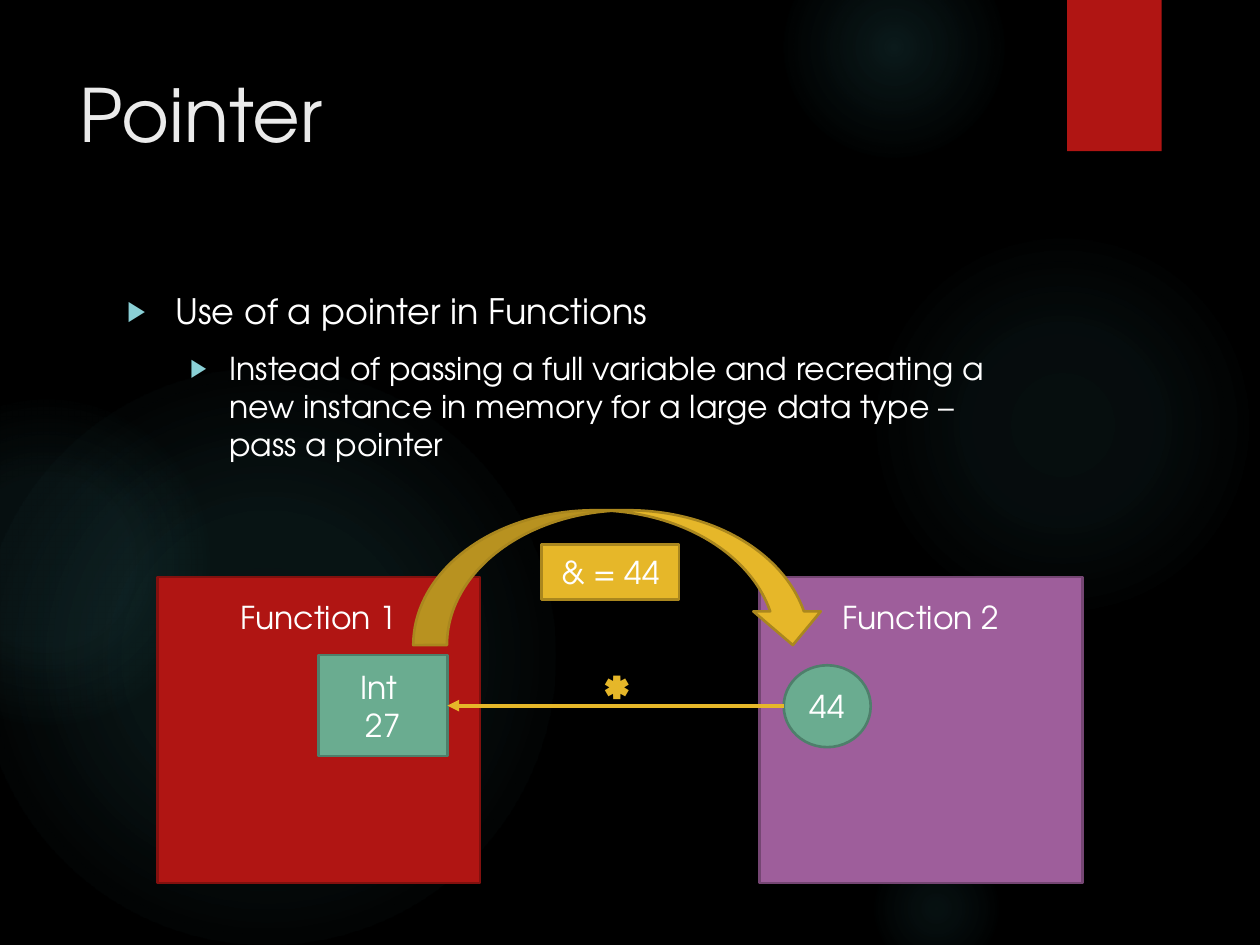
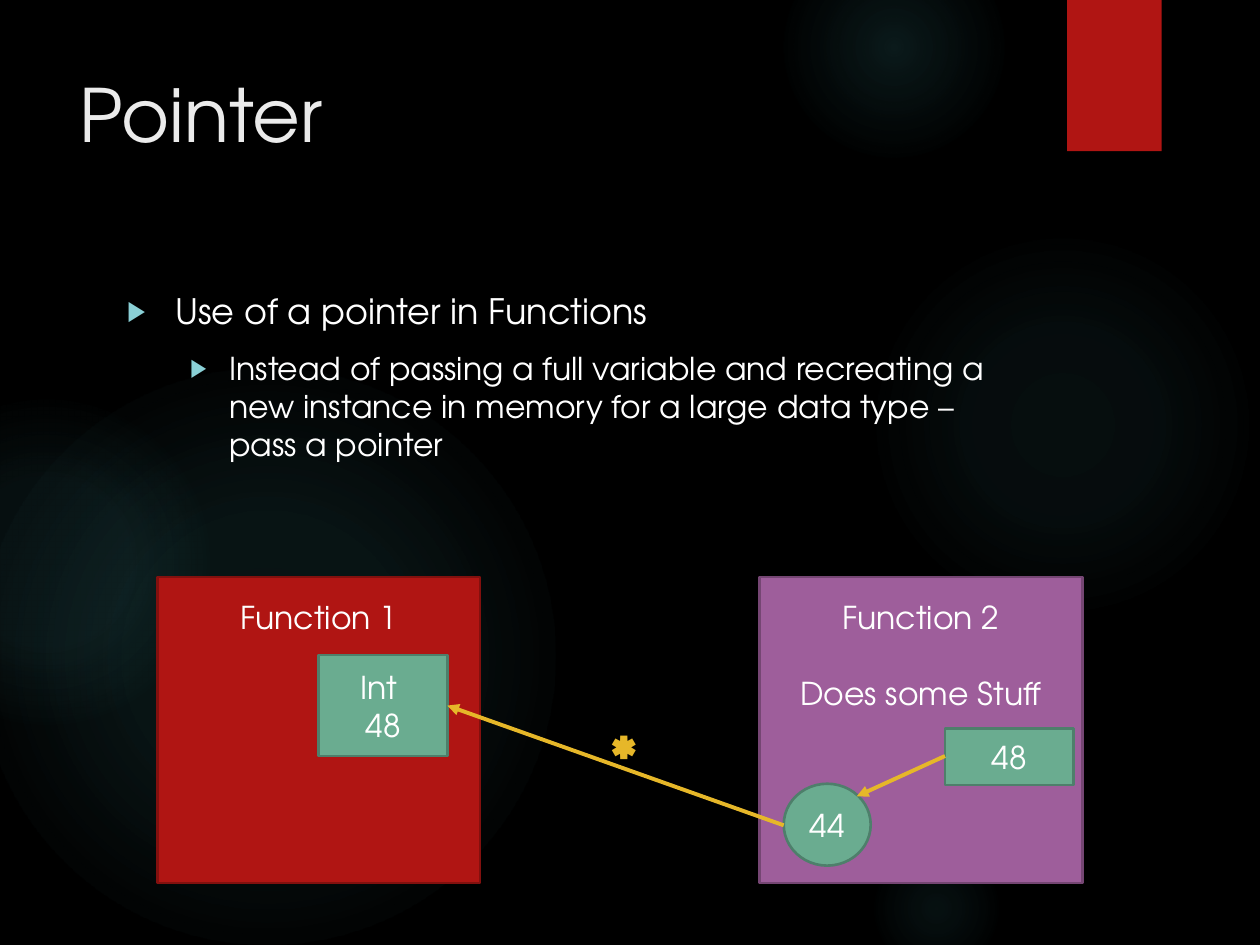
from dataclasses import dataclass

from pptx import Presentation
from pptx.dml.color import RGBColor
from pptx.enum.shapes import MSO_CONNECTOR, MSO_SHAPE
from pptx.enum.text import MSO_ANCHOR, MSO_AUTO_SIZE, PP_ALIGN
from pptx.oxml import parse_xml
from pptx.oxml.ns import nsdecls
from pptx.util import Inches, Pt

RECTANGLE = MSO_SHAPE.RECTANGLE
OVAL = MSO_SHAPE.OVAL
CURVED_ARROW = MSO_SHAPE.CURVED_DOWN_ARROW
STRAIGHT = MSO_CONNECTOR.STRAIGHT
LEFT, CENTER = PP_ALIGN.LEFT, PP_ALIGN.CENTER
TOP, MIDDLE = MSO_ANCHOR.TOP, MSO_ANCHOR.MIDDLE

FONT = "TeX Gyre Adventor"
TEXT_SIZE = 18
COLORS = {
    "background": "000000",
    "glow": "50B9C1",
    "title": "EBEBEB",
    "text": "FFFFFF",
    "bullet": "8AD0D6",
    "red": "B01513",
    "red_edge": "82100E",
    "purple": "9E5E9B",
    "purple_edge": "754673",
    "green": "6AAC90",
    "green_edge": "4E7F6B",
    "gold": "E6B729",
    "gold_edge": "AA871E",
}


@dataclass
class Glow:
    left: float
    top: float
    size: float
    stops: tuple  # (position, opacity) in percent


@dataclass
class Block:
    left: float
    top: float
    width: float
    height: float
    color: str
    lines: tuple = ()
    kind: int = RECTANGLE
    anchor: int = MIDDLE
    gap: float = 0  # points before each later line


@dataclass
class Arrow:
    start: tuple
    end: tuple


@dataclass
class Bullet:
    text: str
    level: int
    size: int
    margin: float
    hanging: float


GLOWS = (
    Glow(6.89, 1.83, 3.08, ((0, 7), (36, 6), (69, 0))),
    Glow(6.22, -0.5, 1.75, ((0, 14), (36, 7), (73, 0))),
    Glow(6.89, 6.67, 1.08, ((0, 9), (36, 5), (66, 0))),
    Glow(-0.17, 2.92, 4.58, ((0, 11), (36, 10), (75, 0))),
    Glow(-0.92, 3.17, 2.58, ((0, 8), (36, 8), (72, 0))),
)
BULLETS = (
    Bullet("Use of a pointer in Functions", 0, 20, 0.38, 0.38),
    Bullet("Instead of passing a full variable and recreating a new instance "
           "in memory for a large data type – pass a pointer", 1, 18, 0.81, 0.31),
)


def rgb(name: str) -> RGBColor:
    return RGBColor.from_string(COLORS[name])


def format_paragraph(para, size: float, color: str, align: int, bold: bool = False) -> None:
    para.alignment = align
    for span in para.runs:
        span.font.name = FONT
        span.font.size = Pt(size)
        span.font.bold = bold
        span.font.color.rgb = rgb(color)


def place(shape, left: float, top: float, width: float, height: float) -> None:
    shape.left, shape.top = Inches(left), Inches(top)
    shape.width, shape.height = Inches(width), Inches(height)


def add_plain_shape(page, kind: int, left: float, top: float,
                    width: float, height: float, color: str):
    shape = page.shapes.add_shape(kind, Inches(left), Inches(top), Inches(width), Inches(height))
    shape.shadow.inherit = False
    shape.fill.solid()
    shape.fill.fore_color.rgb = rgb(color)
    shape.line.fill.background()
    return shape


# Shared backdrop
def add_glow(page, glow: Glow):
    shape = add_plain_shape(page, OVAL, glow.left, glow.top, glow.size, glow.size, "glow")
    stops = "".join(
        f'<a:gs pos="{position * 1000}"><a:srgbClr val="{COLORS["glow"]}">'
        f'<a:alpha val="{opacity * 1000}"/></a:srgbClr></a:gs>'
        for position, opacity in glow.stops)
    gradient = parse_xml(
        f'<a:gradFill {nsdecls("a")} rotWithShape="1"><a:gsLst>{stops}</a:gsLst>'
        '<a:path path="circle"><a:fillToRect l="50000" t="50000" r="50000" b="50000"/>'
        '</a:path></a:gradFill>')
    properties = shape.element.spPr
    properties.replace(properties.find("{*}solidFill"), gradient)
    return shape


def add_ribbon(page):
    shape = add_plain_shape(page, RECTANGLE, 8.47, 0, 0.75, 1.2, "red")
    shape.element.spPr.find("{*}effectLst").append(parse_xml(
        f'<a:outerShdw {nsdecls("a")} blurRad="{Pt(3)}" dist="{Pt(2)}" dir="5400000" '
        'rotWithShape="0"><a:srgbClr val="000000"><a:alpha val="45000"/></a:srgbClr>'
        '</a:outerShdw>'))
    return shape


def build_layout(page) -> None:
    """Move the backdrop into the layout, so that every page inherits it."""
    layout = page.slide_layout
    for holder in list(layout.placeholders):
        if holder.placeholder_format.idx > 1:
            layout.shapes.element.remove(holder.element)
    backdrop = [add_glow(page, glow) for glow in GLOWS] + [add_ribbon(page)]
    for shape in backdrop:
        layout.shapes.element.append(shape.element)


# Title and list
def fill_title(page) -> None:
    title = page.shapes.title
    place(title, 0.53, 0.5, 7.72, 1.53)
    frame = title.text_frame
    frame.text = "Pointer"
    frame.vertical_anchor = TOP
    frame.auto_size = MSO_AUTO_SIZE.NONE
    format_paragraph(frame.paragraphs[0], 42, "title", LEFT)


def fill_body(page) -> None:
    body = page.placeholders[1]
    place(body, 0.91, 2.25, 7.34, 4.59)
    frame = body.text_frame
    frame.text = "\n".join(bullet.text for bullet in BULLETS)
    frame.vertical_anchor = TOP
    frame.auto_size = MSO_AUTO_SIZE.NONE
    for para, bullet in zip(frame.paragraphs, BULLETS):
        para.level = bullet.level
        para.space_before = Pt(10)
        format_paragraph(para, bullet.size, "text", LEFT)
        properties = para._p.get_or_add_pPr()
        properties.set("marL", str(Inches(bullet.margin)))
        properties.set("indent", str(-Inches(bullet.hanging)))
        for tag in (f'<a:buClr {nsdecls("a")}><a:srgbClr val="{COLORS["bullet"]}"/></a:buClr>',
                    f'<a:buSzPct {nsdecls("a")} val="80000"/>',
                    f'<a:buFont {nsdecls("a")} typeface="Arial"/>',
                    f'<a:buChar {nsdecls("a")} char="▶"/>'):
            properties.append(parse_xml(tag))


# Diagram parts
def add_block(page, block: Block) -> None:
    shape = add_plain_shape(page, block.kind, block.left, block.top,
                            block.width, block.height, block.color)
    shape.line.color.rgb = rgb(block.color + "_edge")
    shape.line.width = Pt(1.5)
    frame = shape.text_frame
    frame.text = "\n".join(block.lines)
    frame.vertical_anchor = block.anchor
    if block.anchor == TOP:
        frame.margin_top = Inches(0.17)
    for number, para in enumerate(frame.paragraphs):
        format_paragraph(para, TEXT_SIZE, "text", CENTER)
        if number and block.gap:
            para.space_before = Pt(block.gap)


def add_arrow(page, arrow: Arrow) -> None:
    ends = [Inches(value) for value in arrow.start + arrow.end]
    connector = page.shapes.add_connector(STRAIGHT, *ends)
    connector.line.color.rgb = rgb("gold")
    connector.line.width = Pt(2.25)
    connector.line._get_or_add_ln().append(
        parse_xml(f'<a:tailEnd {nsdecls("a")} type="triangle"/>'))
    connector.element.spPr.append(parse_xml(f'<a:effectLst {nsdecls("a")}/>'))


def add_asterisk(page, left: float, top: float) -> None:
    box = page.shapes.add_textbox(Inches(left), Inches(top), Inches(0.34), Inches(0.64))
    frame = box.text_frame
    frame.text = "*"
    frame.word_wrap = False
    frame.auto_size = MSO_AUTO_SIZE.SHAPE_TO_FIT_TEXT
    format_paragraph(frame.paragraphs[0], 32, "gold", LEFT, bold=True)


def function_block(left: float, color: str, *lines: str) -> Block:
    return Block(left, 4.58, 2.56, 2.43, color, lines, anchor=TOP, gap=21.5)


def integer_block(value: str) -> Block:
    return Block(2.53, 5.2, 1.02, 0.8, "green", ("Int ", value))


def pointer_circle(top: float) -> Block:
    return Block(6.22, top, 0.69, 0.65, "green", ("44",), OVAL)


INTEGER_EDGE = (3.55, 5.6)
PAGES = (
    # The address is passed to the second function
    ((function_block(1.25, "red", "Function 1"),
      function_block(6.03, "purple", "Function 2"),
      integer_block("27"),
      Block(3.28, 4.05, 3.28, 1.07, "gold", kind=CURVED_ARROW),
      Block(4.3, 4.32, 1.09, 0.44, "gold", ("& = 44",)),
      pointer_circle(5.28)),
     (Arrow((6.22, 5.6), INTEGER_EDGE),),
     (4.69, 5.2)),
    # The second function writes through the pointer
    ((function_block(1.25, "red", "Function 1"),
      function_block(6.03, "purple", "Function 2", "Does some Stuff"),
      integer_block("48"),
      pointer_circle(6.22),
      Block(7.5, 5.78, 1.02, 0.45, "green", ("48",))),
     (Arrow((6.22, 6.55), INTEGER_EDGE), Arrow((7.5, 6), (6.8, 6.32))),
     (4.75, 5.68)),
)


def main() -> None:
    deck = Presentation()
    deck.slide_width, deck.slide_height = Inches(10), Inches(7.5)
    background = deck.slide_master.background.fill
    background.solid()
    background.fore_color.rgb = rgb("background")
    layout = deck.slide_layouts[1]
    for number, (blocks, arrows, asterisk) in enumerate(PAGES):
        page = deck.slides.add_slide(layout)
        if number == 0:
            build_layout(page)
        fill_title(page)
        fill_body(page)
        for block in blocks:
            add_block(page, block)
        for arrow in arrows:
            add_arrow(page, arrow)
        add_asterisk(page, *asterisk)
    deck.save("out.pptx")


if __name__ == "__main__":
    main()
